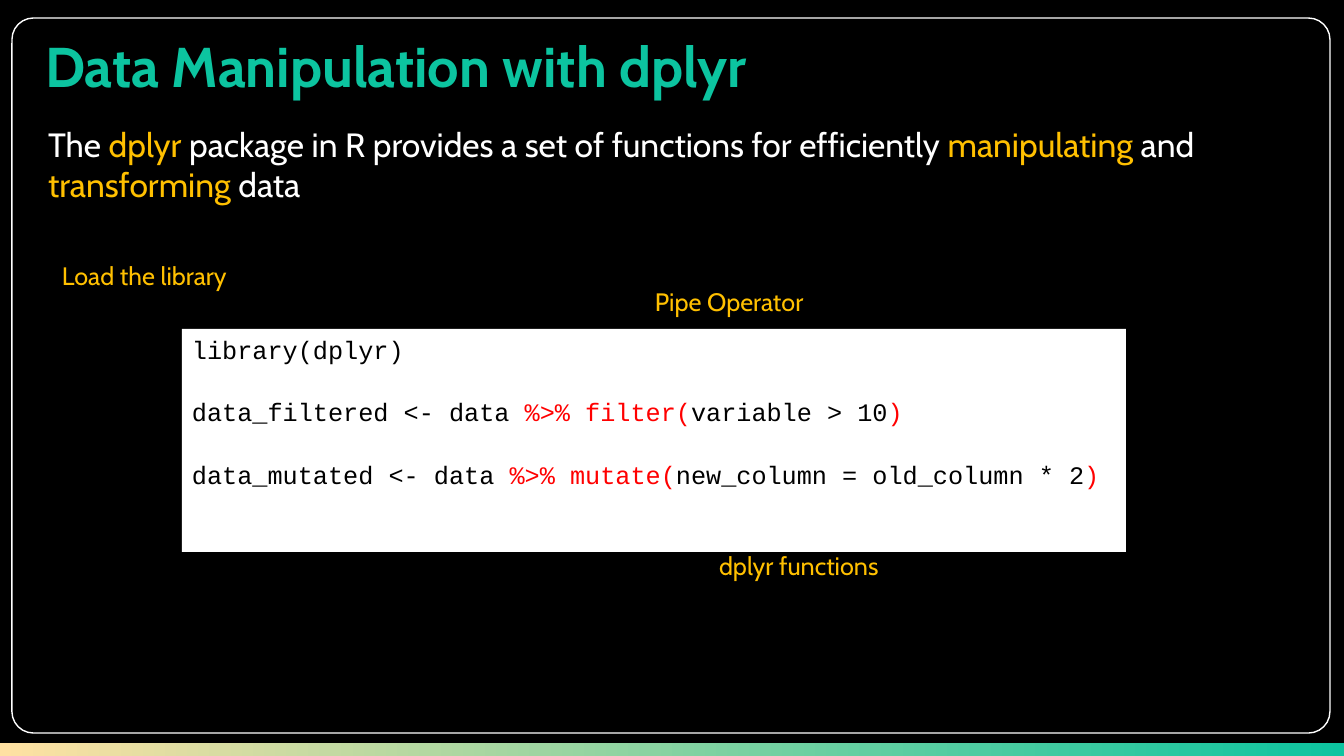
from pptx import Presentation
from pptx.dml.color import RGBColor
from pptx.enum.shapes import MSO_SHAPE
from pptx.enum.text import MSO_ANCHOR, MSO_AUTO_SIZE, PP_ALIGN
from pptx.oxml.xmlchemy import OxmlElement
from pptx.util import Emu, Pt

EMU_PER_PX = 914400 / 100.8
COLORS = {
    "black": "000000",
    "white": "FFFFFF",
    "teal": "0CC4A0",
    "sand": "FFE1A2",
    "amber": "FFC000",
    "red": "FF0000",
}


def px(length):
    return Emu(round(length * EMU_PER_PX))


def color(name):
    return RGBColor.from_string(COLORS[name])


class SlideBuilder:
    text_font = "Cabin"
    code_font = "Courier New"

    def __init__(self, slide):
        self.slide = slide
        slide.background.fill.solid()
        slide.background.fill.fore_color.rgb = color("black")

    def panel(self, preset, box, fill=None, line=None):
        panel = self.slide.shapes.add_shape(preset, *map(px, box))
        panel.shadow.inherit = False
        if fill:
            panel.fill.solid()
            panel.fill.fore_color.rgb = color(fill)
        else:
            panel.fill.background()
        if line:
            panel.line.color.rgb = color(line)
            panel.line.width = Pt(1)
        else:
            panel.line.fill.background()
        return panel

    def gradient_strip(self, box, ends):
        strip = self.panel(MSO_SHAPE.RECTANGLE, box)
        strip.fill.gradient()
        strip.fill.gradient_angle = 0
        for stop, name in zip(strip.fill.gradient_stops, ends):
            stop.color.rgb = color(name)

    def set_lines(self, shape, lines, size, font, bold=False, gap=0, inset=(10, 5)):
        """Fill a shape with lines, each a list of (text, colour) pieces."""
        frame = shape.text_frame
        frame.word_wrap = True
        frame.auto_size = MSO_AUTO_SIZE.NONE
        frame.vertical_anchor = MSO_ANCHOR.TOP
        frame.margin_left = frame.margin_right = px(inset[0])
        frame.margin_top = frame.margin_bottom = px(inset[1])
        for index, pieces in enumerate(lines):
            paragraph = frame.paragraphs[0] if index == 0 else frame.add_paragraph()
            paragraph.alignment = PP_ALIGN.LEFT
            paragraph.line_spacing = 1.0
            paragraph.space_before = Pt(gap if index else 0)
            for text, name in pieces:
                run = paragraph.add_run()
                run.text = text
                run.font.name = font
                run.font.size = Pt(size)
                run.font.bold = bold
                run.font.color.rgb = color(name)

    def place(self, placeholder, box):
        placeholder.left, placeholder.top, placeholder.width, placeholder.height = map(px, box)

    def title(self, box, text):
        heading = self.slide.shapes.title
        self.place(heading, box)
        self.set_lines(heading, [[(text, "teal")]], 40, self.text_font, bold=True, inset=(0, 0))

    def body(self, box, pieces):
        summary = self.slide.placeholders[1]
        self.place(summary, box)
        properties = summary.text_frame.paragraphs[0]._p.get_or_add_pPr()
        properties.set("marL", "0")
        properties.set("indent", "0")
        properties.append(OxmlElement("a:buNone"))
        self.set_lines(summary, [pieces], 24, self.text_font)

    def code(self, box, lines):
        listing = self.panel(MSO_SHAPE.RECTANGLE, box, fill="white")
        self.set_lines(listing, lines, 18, self.code_font, gap=23)

    def label(self, box, text):
        label = self.slide.shapes.add_textbox(*map(px, box))
        self.set_lines(label, [[(text, "amber")]], 18, self.text_font)


def main():
    deck = Presentation()
    deck.slide_width, deck.slide_height = px(1344), px(756)
    builder = SlideBuilder(deck.slides.add_slide(deck.slide_layouts[1]))

    # Frame and bottom strip
    frame = builder.panel(MSO_SHAPE.ROUNDED_RECTANGLE, (12, 18, 1318, 715), line="white")
    frame.adjustments[0] = 0.03
    builder.gradient_strip((0, 743, 1344, 13), ("sand", "teal"))

    # Title and summary
    builder.title((45, 32, 1241, 68), "Data Manipulation with dplyr")
    builder.body((38, 119, 1248, 92), [
        ("The ", "white"),
        ("dplyr", "amber"),
        (" package in R provides a set of functions for efficiently ", "white"),
        ("manipulating", "amber"),
        (" and ", "white"),
        ("transforming", "amber"),
        (" data", "white"),
    ])

    # Code listing
    steps = [
        ("data_filtered", "filter", "variable > 10"),
        ("data_mutated", "mutate", "new_column = old_column * 2"),
    ]
    builder.code((182, 329, 944, 223), [[("library(dplyr)", "black")]] + [
        [(f"{result} <- data ", "black"), (f"%>% {function}(", "red"),
         (argument, "black"), (")", "red")]
        for result, function, argument in steps
    ])

    # Labels around the code
    for left, top, width, text in [
        (645, 281, 185, "Pipe Operator"),
        (52, 255, 201, "Load the library"),
        (709, 545, 198, "dplyr functions"),
    ]:
        builder.label((left, top, width, 41), text)

    deck.save("out.pptx")


if __name__ == "__main__":
    main()
